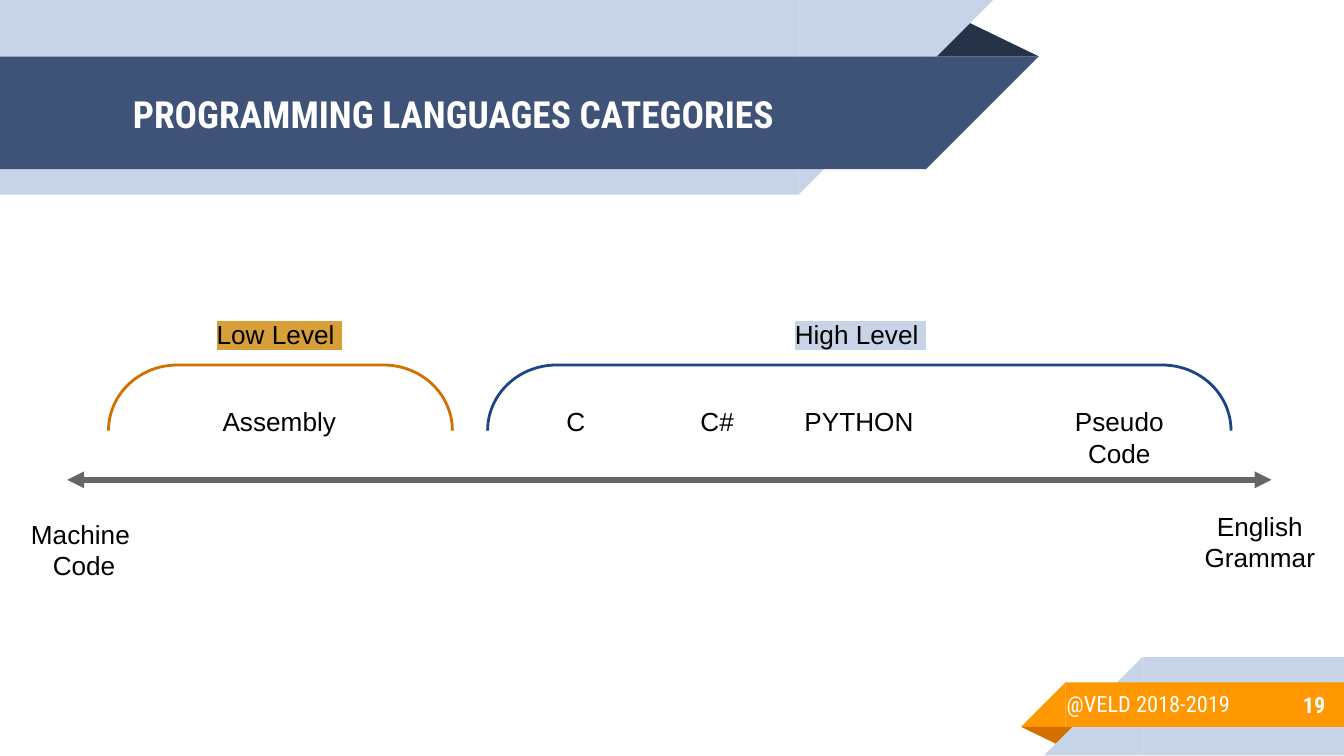
from dataclasses import dataclass
from lxml.etree import SubElement as Sub
from pptx import Presentation
from pptx.dml.color import RGBColor as RGB
from pptx.enum.shapes import MSO_CONNECTOR as Link, MSO_SHAPE as Kind
from pptx.enum.text import MSO_ANCHOR as Anchor, PP_ALIGN as Align
from pptx.oxml.ns import qn
from pptx.util import Cm, Pt


@dataclass(frozen=True)
class Theme:
    pale: str = "C7D3E6"
    navy: str = "3F5378"
    night: str = "263248"
    orange: str = "FF9800"
    rust: str = "D26F00"
    gold: str = "D89F39"
    blue: str = "1C4587"
    gray: str = "666666"
    black: str = "000000"
    white: str = "FFFFFF"
    head: str = "Roboto Condensed"
    body: str = "Arial"
    title: int = 20
    label: int = 14
    foot: int = 12


look = Theme()
deck = Presentation()
deck.slide_width, deck.slide_height = Cm(25.4), Cm(14.29)
slide = deck.slides.add_slide(deck.slide_layouts[6])
shapes = slide.shapes


def block(kind, box, color, turn=0, flip=False):
    shape = shapes.add_shape(kind, *map(Cm, box))
    shape.shadow.inherit = False
    shape.fill.solid()
    shape.fill.fore_color.rgb = RGB.from_string(color)
    shape.line.fill.background()
    shape.rotation = turn
    if flip:
        shape._element.spPr.xfrm.set("flipH", "1")
    return shape


def write(text, box, size=look.label, font=look.body, color=look.black,
          bold=False, align=Align.CENTER, anchor=Anchor.TOP):
    frame = shapes.add_textbox(*map(Cm, box)).text_frame
    frame.word_wrap = True
    frame.vertical_anchor = anchor
    frame.margin_left = frame.margin_right = Cm(0.25)
    frame.margin_top = frame.margin_bottom = Cm(0.25)
    para = frame.paragraphs[0]
    para.text = text
    para.alignment = align
    para.font.size = Pt(size)
    para.font.name = font
    para.font.bold = bold
    para.font.color.rgb = RGB.from_string(color)
    return para


fold = block(Kind.ISOSCELES_TRIANGLE, (17.48, 0.36, 2.16, 0.71), look.night)
fold.adjustments[0] = 0.32
for top, width, high, color in [(0, 15.09, 3.68, look.pale),
                                (1.07, 17.5, 2.13, look.navy)]:
    block(Kind.RECTANGLE, (0, top, width, high), color)
    block(Kind.RIGHT_TRIANGLE, (width, top, high, high), color, 180, True)

fold = block(Kind.ISOSCELES_TRIANGLE, (19.3, 13.74, 1.09, 0.36), look.rust, 180)
fold.adjustments[0] = 0.32
for left, top, high, color in [(21.59, 12.42, 1.86, look.pale),
                               (20.14, 12.9, 0.84, look.orange)]:
    block(Kind.RECTANGLE, (left, top, 25.4 - left, high), color)
    block(Kind.RIGHT_TRIANGLE, (left - high, top, high, high), color, 0, True)

write("PROGRAMMING LANGUAGES CATEGORIES", (2.26, 1.09, 14.6, 2.13), look.title,
      look.head, look.white, True, Align.LEFT, Anchor.MIDDLE)
write("19", (21.16, 12.88, 4.14, 0.89), look.foot,
      look.head, look.white, True, Align.RIGHT, Anchor.MIDDLE)
write("@VELD 2018-2019", (19.91, 12.8, 4.55, 1.4), look.foot,
      look.head, look.white, align=Align.LEFT)

axis = shapes.add_connector(Link.STRAIGHT, Cm(1.27), Cm(9.07), Cm(24.03), Cm(9.07))
axis.line.width = Pt(3)
axis.line.color.rgb = RGB.from_string(look.gray)
for end in ("a:headEnd", "a:tailEnd"):
    Sub(axis.line._get_or_add_ln(), qn(end), type="triangle")
Sub(axis._element.spPr, qn("a:effectLst"))

write("Machine \nCode", (0, 9.55, 3.18, 1.68))
write("English Grammar", (22.22, 9.4, 3.18, 1.68))

deep = 1.24
for mid, span, color in [(5.3, 6.5, look.rust), (16.24, 14.05, look.blue)]:
    box = mid - deep / 2, 7.52 - span / 2, deep, span
    arch = block(Kind.LEFT_BRACKET, box, look.white, 90)
    arch.fill.background()
    arch.line.width = Pt(1.5)
    arch.line.color.rgb = RGB.from_string(color)
    arch.adjustments[0] = 1.05

for text, left, color in [("Low Level ", 2.46, look.gold),
                          ("High Level ", 13.44, look.pale)]:
    para = write(text, (left, 5.77, 5.64, 1.24))
    mark = Sub(para.runs[0]._r.get_or_add_rPr(), qn("a:highlight"))
    Sub(mark, qn("a:srgbClr"), val=color)

for text, left, width in [("Assembly", 2.46, 5.64), ("C", 9.55, 2.67),
                          ("C#", 12.22, 2.67), ("PYTHON", 14.9, 2.67),
                          ("Pseudo Code", 19.43, 3.45)]:
    write(text, (left, 7.42, width, 1.24))

deck.save("out.pptx")
